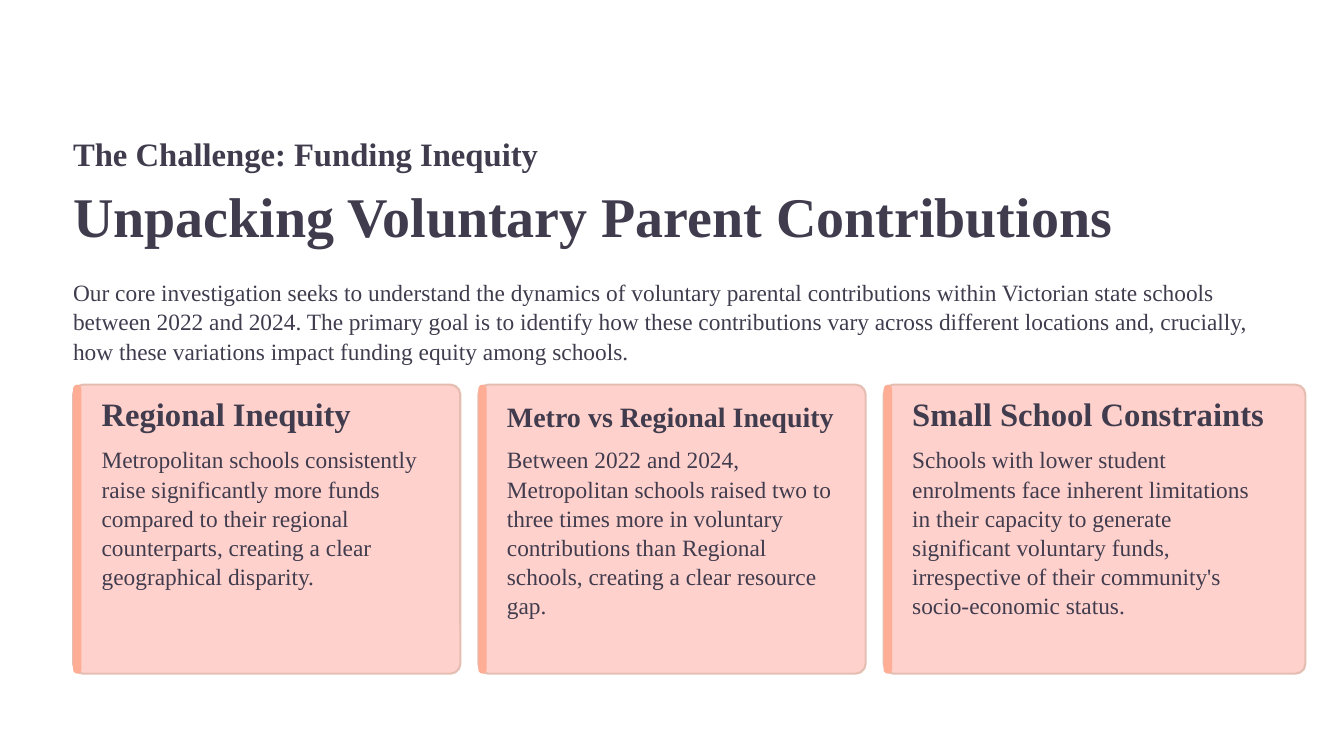
from dataclasses import dataclass

from pptx import Presentation
from pptx.dml.color import RGBColor
from pptx.enum.shapes import MSO_SHAPE
from pptx.enum.text import MSO_ANCHOR, PP_ALIGN
from pptx.shapes.autoshape import Shape
from pptx.slide import Slide
from pptx.util import Inches, Pt

ROUNDED = MSO_SHAPE.ROUNDED_RECTANGLE
TOP = MSO_ANCHOR.TOP
LEFT = PP_ALIGN.LEFT

INK = RGBColor(0x40, 0x3C, 0x4E)
CARD_FILL = RGBColor(0xFF, 0xD1, 0xCC)
CARD_LINE = RGBColor(0xE5, 0xBE, 0xB2)
ACCENT = RGBColor(0xFF, 0xAD, 0x94)

FONT = "Times New Roman"
MARGIN = 0.87
LAST_CARD_LEFT = 10.52
CARD_TOP = 4.58
CARD_HEIGHT = 3.44
TEXT_INDENT = 0.34
HEADING_INSET = 0.45
ACCENT_WIDTH = 0.1


@dataclass(frozen=True)
class TextStyle:
    size: float
    spacing: float
    bold: bool = False
    wrap: bool = False


@dataclass(frozen=True)
class Card:
    heading: str
    body: str
    width: float = 4.61
    heading_size: float = 28
    body_height: float = 2.22


TITLE = TextStyle(48, 48.5, bold=True)
KICKER = TextStyle(28, 24, bold=True)
BODY = TextStyle(20, 25, wrap=True)

INTRO = (
    "Our core investigation seeks to understand the dynamics of voluntary parental "
    "contributions within Victorian state schools between 2022 and 2024. The primary "
    "goal is to identify how these contributions vary across different locations and, "
    "crucially, how these variations impact funding equity among schools."
)

CARDS = (
    Card(
        "Regional Inequity",
        "Metropolitan schools consistently raise significantly more funds compared to "
        "their regional counterparts, creating a clear geographical disparity.",
        body_height=1.78,
    ),
    Card(
        "Metro vs Regional Inequity",
        "Between 2022 and 2024, Metropolitan schools raised two to three times more in "
        "voluntary contributions than Regional schools, creating a clear resource gap.",
        heading_size=24,
    ),
    Card(
        "Small School Constraints",
        "Schools with lower student enrolments face inherent limitations in their "
        "capacity to generate significant voluntary funds, irrespective of their "
        "community's socio-economic status.",
        width=5.02,
    ),
)


def add_text(slide: Slide, text: str, style: TextStyle,
             left: float, top: float, width: float, height: float) -> None:
    box = slide.shapes.add_textbox(
        Inches(left), Inches(top), Inches(width), Inches(height))
    frame = box.text_frame
    frame_format = {
        "margin_left": 0, "margin_top": 0, "margin_right": 0, "margin_bottom": 0,
        "word_wrap": style.wrap, "vertical_anchor": TOP,
    }
    for name, value in frame_format.items():
        setattr(frame, name, value)
    para = frame.paragraphs[0]
    para.alignment = LEFT
    para.line_spacing = Pt(style.spacing)
    span = para.add_run()
    span.text = text
    font_format = {"name": FONT, "size": Pt(style.size), "bold": style.bold}
    for name, value in font_format.items():
        setattr(span.font, name, value)
    span.font.color.rgb = INK


def add_panel(slide: Slide, left: float, width: float,
              rounding: float, fill: RGBColor) -> Shape:
    """Add a borderless rounded panel as tall as the card row."""
    panel = slide.shapes.add_shape(
        ROUNDED, Inches(left), Inches(CARD_TOP), Inches(width), Inches(CARD_HEIGHT))
    panel.shadow.inherit = False
    panel.adjustments[0] = rounding
    panel.fill.solid()
    panel.fill.fore_color.rgb = fill
    panel.line.fill.background()
    return panel


def add_card(slide: Slide, card: Card, left: float) -> None:
    panel = add_panel(slide, left, card.width, 0.034, CARD_FILL)
    panel.line.color.rgb = CARD_LINE
    panel.line.width = Pt(1.8)
    add_panel(slide, left, ACCENT_WIDTH, 0.91, ACCENT)

    text_left = left + TEXT_INDENT
    heading = TextStyle(card.heading_size, 24, bold=True)
    add_text(slide, card.heading, heading,
             text_left, 4.82, card.width - HEADING_INSET, 0.43)
    add_text(slide, card.body, BODY, text_left, 5.29, 4.03, card.body_height)


def main() -> None:
    deck = Presentation()
    deck.slide_width, deck.slide_height = Inches(16), Inches(9)
    page = deck.slides.add_slide(deck.slide_layouts[6])

    add_text(page, "The Challenge: Funding Inequity", KICKER, MARGIN, 1.73, 5.7, 0.34)
    add_text(page, "Unpacking Voluntary Parent Contributions", TITLE,
             MARGIN, 2.29, 12.6, 0.68)
    add_text(page, INTRO, BODY, MARGIN, 3.3, 14.26, 1.04)
    card_pitch = (LAST_CARD_LEFT - MARGIN) / (len(CARDS) - 1)
    for index, card in enumerate(CARDS):
        add_card(page, card, MARGIN + index * card_pitch)

    deck.save("out.pptx")


if __name__ == "__main__":
    main()
